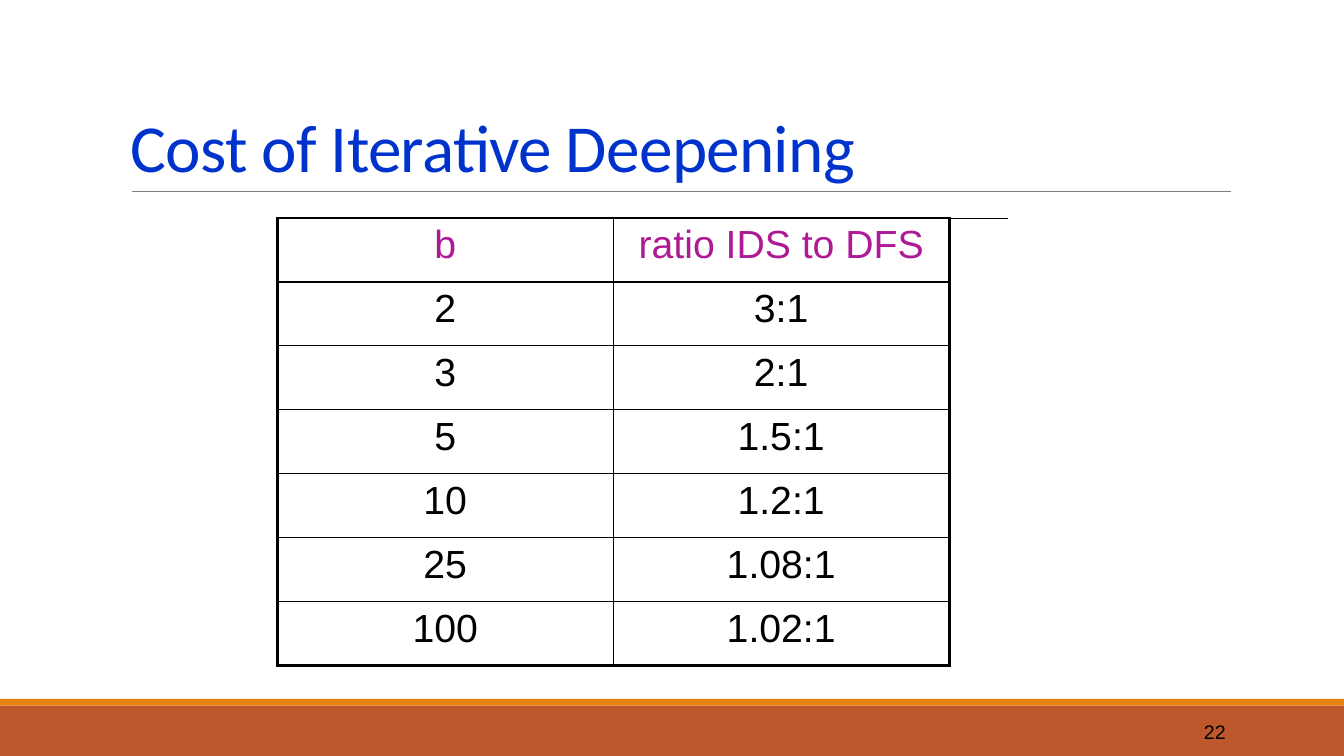
from lxml import etree
from pptx import Presentation
from pptx.dml.color import RGBColor
from pptx.enum.shapes import MSO_CONNECTOR, MSO_SHAPE
from pptx.enum.text import MSO_ANCHOR, PP_ALIGN
from pptx.oxml.ns import qn
from pptx.util import Inches, Pt

STRAIGHT = MSO_CONNECTOR.STRAIGHT
RECTANGLE = MSO_SHAPE.RECTANGLE
BOTTOM, MIDDLE = MSO_ANCHOR.BOTTOM, MSO_ANCHOR.MIDDLE
LEFT, CENTER, RIGHT = PP_ALIGN.LEFT, PP_ALIGN.CENTER, PP_ALIGN.RIGHT

GRID_COLUMNS, GRID_ROWS = 160, 90
SLIDE_WIDTH, SLIDE_HEIGHT = Inches(13.33), Inches(7.5)
THIN, THICK = 1, 2.25
COLORS = {
    "band": "BD582C",
    "accent": "E48312",
    "rule": "808080",
    "title": "0033CC",
    "heading": "AE1A95",
    "ink": "000000",
}
RATIOS = [
    ("b", "ratio IDS to DFS"),
    ("2", "3:1"),
    ("3", "2:1"),
    ("5", "1.5:1"),
    ("10", "1.2:1"),
    ("25", "1.08:1"),
    ("100", "1.02:1"),
]


def color(name):
    """Return the named colour of the slide."""
    return RGBColor.from_string(COLORS[name])


def place(column, row, columns, rows):
    """Turn grid units into left, top, width and height."""
    across, down = SLIDE_WIDTH / GRID_COLUMNS, SLIDE_HEIGHT / GRID_ROWS
    return (round(column * across), round(row * down),
            round(columns * across), round(rows * down))


def add_band(slide, area, fill):
    """Draw a plain filled band."""
    band = slide.shapes.add_shape(RECTANGLE, *place(*area))
    band.shadow.inherit = False
    band.fill.solid()
    band.fill.fore_color.rgb = color(fill)
    band.line.fill.background()


def add_rule(slide, column, row, columns, ink, weight):
    """Draw a thin horizontal line."""
    left, top, width, _ = place(column, row, columns, 0)
    rule = slide.shapes.add_connector(STRAIGHT, left, top, left + width, top)
    rule.line.color.rgb = color(ink)
    rule.line.width = Pt(weight)
    etree.SubElement(rule._element.spPr, qn("a:effectLst"))


def write(frame, text, font, size, ink, align):
    """Write one run in the first paragraph of a text frame."""
    paragraph = frame.paragraphs[0]
    paragraph.alignment = align
    run = paragraph.add_run()
    run.text = text
    run.font.name = font
    run.font.size = Pt(size)
    run.font.color.rgb = color(ink)
    return paragraph, run


def add_text(slide, area, anchor, *style):
    """Add a wrapped text box holding one run."""
    frame = slide.shapes.add_textbox(*place(*area)).text_frame
    frame.word_wrap = True
    frame.vertical_anchor = anchor
    return write(frame, *style)


def add_title(slide, text):
    """Add the tightly set slide title."""
    paragraph, run = add_text(slide, (14.4, 3.75, 132, 19.05), BOTTOM,
                              text, "Calibri", 48, "title", LEFT)
    paragraph.line_spacing = 0.85
    run._r.get_or_add_rPr().set("spc", "-50")


def set_border(cell, side, weight):
    """Draw one side of a cell's border."""
    border = etree.SubElement(cell._tc.get_or_add_tcPr(), qn(f"a:ln{side}"),
                              w=str(Pt(weight)))
    fill = etree.SubElement(border, qn("a:solidFill"))
    etree.SubElement(fill, qn("a:srgbClr"), val=COLORS["ink"])


def add_ratio_table(slide, records):
    """Add the table with a thick frame and thin inner lines."""
    last_row, last_column = len(records) - 1, len(records[0]) - 1
    table = slide.shapes.add_table(last_row + 1, last_column + 1,
                                   *place(33, 25.95, 80, 53.3)).table
    table.first_row = table.horz_banding = False
    for row, record in enumerate(records):
        for column, text in enumerate(record):
            cell = table.cell(row, column)
            outer_sides = {"L": column == 0, "R": column == last_column,
                           "T": row == 0, "B": row == last_row}
            for side, outer in outer_sides.items():
                set_border(cell, side, THICK if outer else THIN)
            cell.fill.background()
            write(cell.text_frame, text, "Arial", 28,
                  "ink" if row else "heading", CENTER)


def main():
    """Build and save the slide."""
    deck = Presentation()
    deck.slide_width, deck.slide_height = SLIDE_WIDTH, SLIDE_HEIGHT
    slide = deck.slides.add_slide(deck.slide_layouts[6])
    add_band(slide, (0, 84, GRID_COLUMNS, 6), "band")
    add_band(slide, (0, 83.2, GRID_COLUMNS, 0.8), "accent")
    add_rule(slide, 15.7, 22.8, 130.8, "rule", 0.5)
    add_title(slide, "Cost of Iterative Deepening")
    add_text(slide, (130, 84.75, 17.1, 4.8), MIDDLE,
             "22", "Arial", 14, "ink", RIGHT)
    add_ratio_table(slide, RATIOS)
    add_rule(slide, 40, 26, 80, "ink", THIN)
    deck.save("out.pptx")


if __name__ == "__main__":
    main()
